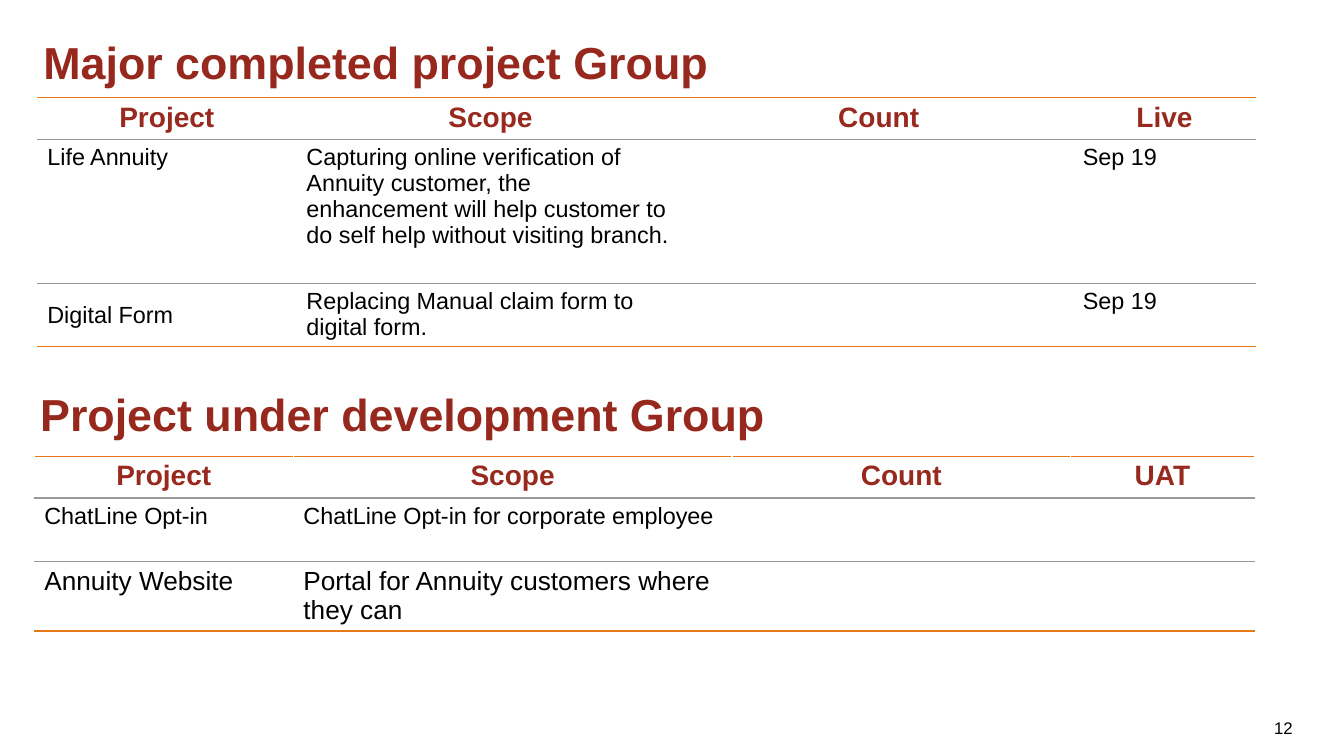
from pptx import Presentation
from pptx.dml.color import RGBColor
from pptx.enum.text import MSO_ANCHOR, MSO_AUTO_SIZE, PP_ALIGN
from pptx.oxml.ns import qn
from pptx.util import Inches, Pt
from lxml.etree import SubElement

HEADING_RED, HEADER_RED, BLACK = "97281D", "97291E", "000000"
ORANGE, GREY, WHITE = "E77817", "999999", "FFFFFF"

SECTIONS = [
    {
        "heading": "Major completed project Group",
        "heading_at": (0.33, 0.25, 10.91, 0.75),
        "table_at": (0.37, 0.97),
        "columns": [2.57, 3.85, 3.85, 1.82],
        "heights": [0.41, 1.43, 0.63],
        "sizes": [20, 16.7, 16.7],
        "side_color": None,
        "middle_cells": {(2, 0)},
        "rows": [
            ["Project", "Scope", "Count", "Live"],
            ["Life Annuity",
             "Capturing online verification of Annuity customer, the enhancement "
             "will help customer to do self help without visiting branch.",
             "", "Sep 19"],
            ["Digital Form", "Replacing Manual claim form to digital form.",
             "", "Sep 19"],
        ],
    },
    {
        "heading": "Project under development Group",
        "heading_at": (0.3, 3.75, 10.91, 0.75),
        "table_at": (0.34, 4.53),
        "columns": [2.57, 4.35, 3.36, 1.82],
        "heights": [0.41, 0.63, 0.69],
        "sizes": [20, 16.7, 18.7],
        "side_color": WHITE,
        "middle_cells": set(),
        "rows": [
            ["Project", "Scope", "Count", "UAT"],
            ["ChatLine Opt-in", "ChatLine Opt-in for corporate employee", "", ""],
            ["Annuity Website", "Portal for Annuity customers where they can",
             "", ""],
        ],
    },
]
PAGE_NUMBER = "12"


def rgb(color):
    return RGBColor.from_string(color)


def write(frame, text, size, color, bold=False, align=PP_ALIGN.LEFT):
    paragraph = frame.paragraphs[0]
    paragraph.text = text
    paragraph.alignment = align
    for name, value in {"name": "Arial", "size": Pt(size), "bold": bold}.items():
        setattr(paragraph.font, name, value)
    paragraph.font.color.rgb = rgb(color)


def place(shape, box):
    for name, value in zip(("left", "top", "width", "height"), box):
        setattr(shape, name, Inches(value))


def format_frame(frame, anchor, top_margin):
    frame.word_wrap = True
    frame.auto_size = MSO_AUTO_SIZE.NONE
    frame.vertical_anchor = anchor
    margins = {"left": 0.1, "right": 0.1, "top": top_margin, "bottom": 0.05}
    for side, value in margins.items():
        setattr(frame, f"margin_{side}", Inches(value))


def set_border(cell, side, color):
    """Draw one cell edge (L, R, T or B); no colour means no line."""
    line = SubElement(cell._tc.get_or_add_tcPr(), qn(f"a:ln{side}"), w=str(Pt(1)))
    if color:
        fill = SubElement(line, qn("a:solidFill"))
        SubElement(fill, qn("a:srgbClr"), val=color)
    else:
        SubElement(line, qn("a:noFill"))


def add_project_table(slide, section):
    rows, columns = section["rows"], section["columns"]
    heights = section["heights"]
    left, top = section["table_at"]
    table = slide.shapes.add_table(
        len(rows), len(columns), Inches(left), Inches(top),
        Inches(sum(columns)), Inches(sum(heights))).table
    table.first_row = table.horz_banding = False
    for column, width in zip(table.columns, columns):
        column.width = Inches(width)
    for row, height in zip(table.rows, heights):
        row.height = Inches(height)

    last = len(rows) - 1
    for r, texts in enumerate(rows):
        header = r == 0
        for c, text in enumerate(texts):
            cell = table.cell(r, c)
            edges = {"L": section["side_color"], "R": section["side_color"],
                     "T": ORANGE if header else GREY,
                     "B": ORANGE if r == last else GREY}
            for side, color in edges.items():
                set_border(cell, side, color)
            cell.fill.background()
            cell.margin_top = cell.margin_bottom = Inches(0.04 if header else 0.05)
            middle = (r, c) in section["middle_cells"]
            cell.vertical_anchor = MSO_ANCHOR.MIDDLE if middle else MSO_ANCHOR.TOP
            write(cell.text_frame, text, section["sizes"][r],
                  HEADER_RED if header else BLACK, header,
                  PP_ALIGN.CENTER if header else PP_ALIGN.LEFT)


def add_text_box(slide, box):
    return slide.shapes.add_textbox(*map(Inches, box))


def main():
    presentation = Presentation()
    presentation.slide_width = Inches(13.33)
    presentation.slide_height = Inches(7.5)
    slide = presentation.slides.add_slide(presentation.slide_layouts[5])

    completed, developing = SECTIONS
    title = slide.shapes.title
    place(title, completed["heading_at"])
    subheading = add_text_box(slide, developing["heading_at"])
    for shape, section in zip((title, subheading), SECTIONS):
        format_frame(shape.text_frame, MSO_ANCHOR.TOP, 0.09)
        write(shape.text_frame, section["heading"], 32, HEADING_RED, True)
        add_project_table(slide, section)

    number = add_text_box(slide, (12.25, 7.02, 0.67, 0.4))
    format_frame(number.text_frame, MSO_ANCHOR.MIDDLE, 0.05)
    write(number.text_frame, PAGE_NUMBER, 12, BLACK, align=PP_ALIGN.RIGHT)
    presentation.save("out.pptx")


if __name__ == "__main__":
    main()
